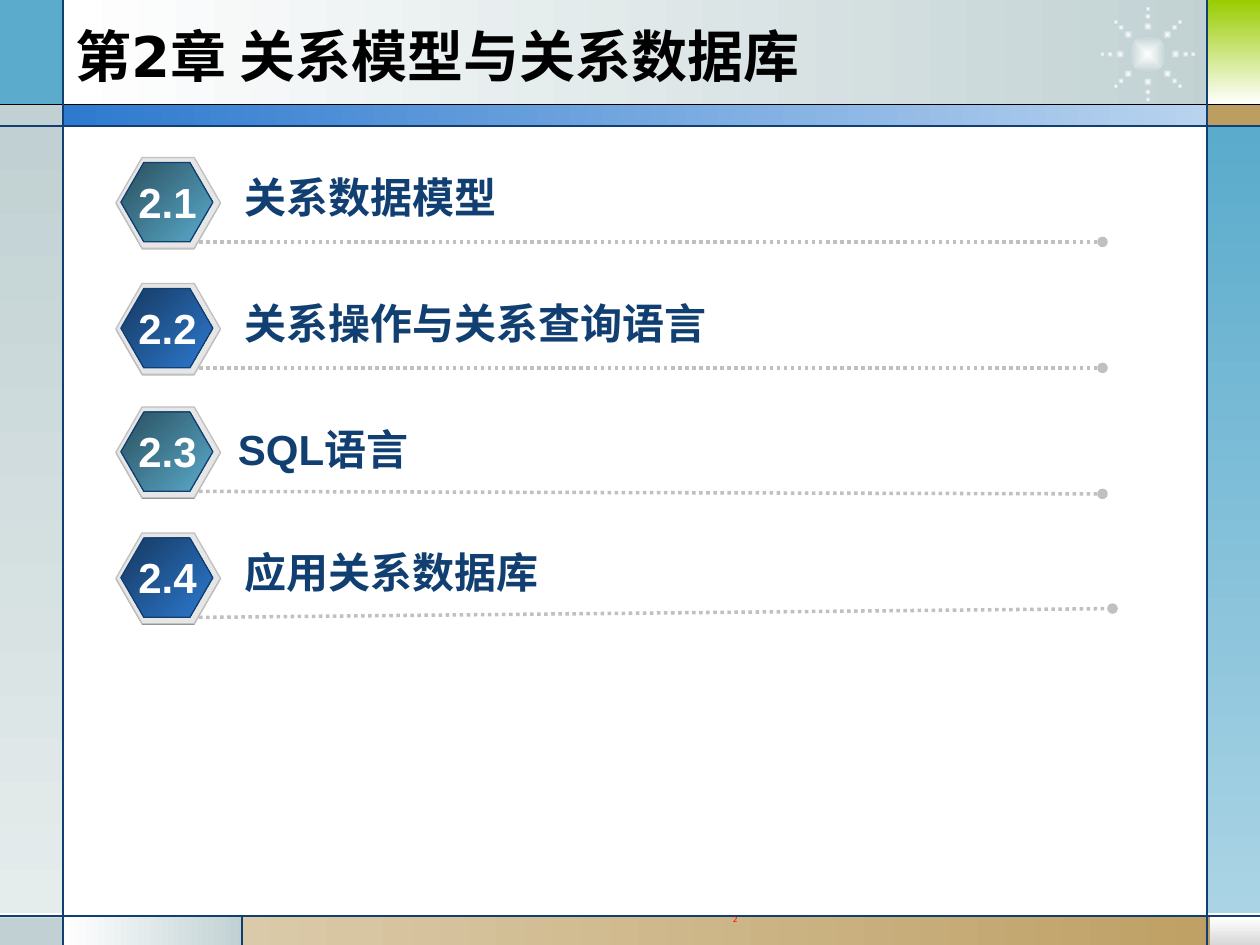
from math import cos, radians, sin

from lxml import etree
from pptx import Presentation
from pptx.dml.color import RGBColor
from pptx.enum.dml import MSO_LINE
from pptx.enum.shapes import MSO_CONNECTOR, MSO_SHAPE
from pptx.enum.text import MSO_ANCHOR, MSO_AUTO_SIZE, PP_ALIGN
from pptx.oxml.ns import qn
from pptx.util import Inches, Pt

RECTANGLE, OVAL, HEXAGON = MSO_SHAPE.RECTANGLE, MSO_SHAPE.OVAL, MSO_SHAPE.HEXAGON
STRAIGHT, DOTTED = MSO_CONNECTOR.STRAIGHT, MSO_LINE.ROUND_DOT
LEFT, CENTER = PP_ALIGN.LEFT, PP_ALIGN.CENTER
TOP, MIDDLE = MSO_ANCHOR.TOP, MSO_ANCHOR.MIDDLE
FIXED, GROW = MSO_AUTO_SIZE.NONE, MSO_AUTO_SIZE.SHAPE_TO_FIT_TEXT

WHITE = RGBColor(0xFF, 0xFF, 0xFF)
BLACK = RGBColor(0x00, 0x00, 0x00)
RED = RGBColor(0xFF, 0x00, 0x00)
NAVY = RGBColor(0x11, 0x3F, 0x71)
DEEP_BLUE = RGBColor(0x15, 0x38, 0x60)
BLUE = RGBColor(0x2D, 0x7A, 0xCF)
PALE_BLUE = RGBColor(0xB9, 0xD3, 0xEF)
DEEP_TEAL = RGBColor(0x2A, 0x4F, 0x5E)
TEAL = RGBColor(0x5A, 0xAB, 0xCC)
PALE_TEAL = RGBColor(0xAA, 0xD4, 0xE5)
MIST = RGBColor(0xC1, 0xD1, 0xD3)
PALE_MIST = RGBColor(0xE5, 0xEC, 0xEC)
SAND = RGBColor(0xBD, 0x9E, 0x61)
PALE_SAND = RGBColor(0xDB, 0xCA, 0xA9)
LIME = RGBColor(0x99, 0xCC, 0x00)
SHADE = RGBColor(0x80, 0x80, 0x80)
SILVER = RGBColor(0xC0, 0xC0, 0xC0)
LIGHT_GRAY = RGBColor(0xD8, 0xD8, 0xD8)
RIM = RGBColor(0xE6, 0xE6, 0xE6)

COLUMNS, ROWS = 10, 7.5
ACROSS, DIAGONAL, DOWN = 0, 45, 90

PANELS = [
    (0.5, 0, 9.27, 0.84, (WHITE, MIST), ACROSS),
    (0, 0, 0.5, 0.84, (TEAL,), ACROSS),
    (0, 0.83, 0.5, 0.17, (MIST,), ACROSS),
    (0, 1, 0.5, 6.25, (MIST, PALE_MIST), DOWN),
    (0, 7.28, 0.5, 0.22, (MIST,), ACROSS),
    (0.5, 7.27, 1.43, 0.23, (WHITE, MIST), ACROSS),
    (1.92, 7.27, 8.08, 0.23, (PALE_SAND, SAND), ACROSS),
    (9.6, 7.28, 0.4, 0.22, (WHITE, LIGHT_GRAY), DOWN),
    (9.58, 1, 0.42, 6.25, (TEAL, PALE_TEAL), DOWN),
    (9.58, 0.83, 0.42, 0.17, (SAND,), ACROSS),
    (9.59, 0, 0.41, 0.83, (LIME, WHITE), DOWN),
    (0.5, 0.83, 9.09, 0.17, (BLUE, PALE_BLUE), ACROSS),
]
RULES = [
    (0, 0.83, COLUMNS, 0.83, BLACK),
    (0, 1, COLUMNS, 1, NAVY),
    (0, 7.27, COLUMNS, 7.27, NAVY),
    (0.5, 0, 0.5, ROWS, NAVY),
    (9.58, 0, 9.58, ROWS, NAVY),
    (1.92, 7.27, 1.92, ROWS, NAVY),
]
TEAL_BADGE, BLUE_BADGE = (DEEP_TEAL, TEAL), (DEEP_BLUE, BLUE)
SECTIONS = [
    ("2.1", "关系数据模型", 1.25, TEAL_BADGE, (1.84, 1.31, 2.2), (8.75, 1.92)),
    ("2.2", "关系操作与关系查询语言", 2.25, BLUE_BADGE, (1.84, 2.31, 3.9), (8.75, 2.92)),
    ("2.3", "SQL语言", 3.23, TEAL_BADGE, (1.79, 3.31, 1.63), (8.75, 3.92)),
    ("2.4", "应用关系数据库", 4.23, BLUE_BADGE, (1.84, 4.29, 2.53), (8.83, 4.83)),
]


class SlidePainter:
    """Draws styled elements on one slide, placed by grid columns and rows."""

    def __init__(self, deck):
        self.column = deck.slide_width / COLUMNS
        self.row = deck.slide_height / ROWS
        self.slide = deck.slides.add_slide(deck.slide_layouts[6])

    def place(self, *lengths):
        units = (self.column, self.row) * 2
        return [round(length * unit) for length, unit in zip(lengths, units)]

    def shape(self, kind, left, top, width, height, colors, angle=ACROSS, outline=None):
        shape = self.slide.shapes.add_shape(kind, *self.place(left, top, width, height))
        shape.shadow.inherit = False
        if len(colors) == 1:
            shape.fill.solid()
            shape.fill.fore_color.rgb = colors[0]
        else:
            shape.fill.gradient()
            shape.fill.gradient_angle = -angle % 360
            for stop, color in zip(shape.fill.gradient_stops, colors):
                stop.color.rgb = color
        if outline is None:
            shape.line.fill.background()
        else:
            shape.line.color.rgb = outline
            shape.line.width = Pt(0.75)
        return shape

    def glow(self, center_x, center_y, size):
        dot = self.shape(OVAL, center_x - size / 2, center_y - size / 2, size, size, (WHITE, MIST))
        gradient = dot.element.spPr.find(qn("a:gradFill"))
        gradient.remove(gradient.find(qn("a:lin")))
        radial = etree.SubElement(gradient, qn("a:path"), {"path": "rect"})
        sides = dict.fromkeys("ltrb", "50000")
        etree.SubElement(radial, qn("a:fillToRect"), sides)

    def starburst(self, center_x, center_y):
        self.glow(center_x, center_y, 0.3)
        for angle in range(0, 360, 45):
            for radius, size in ((0.22, 0.07), (0.3, 0.05), (0.36, 0.04)):
                self.glow(center_x + radius * cos(radians(angle)),
                          center_y + radius * sin(radians(angle)), size)

    def line(self, start_x, start_y, end_x, end_y, color, width=0.75):
        line = self.slide.shapes.add_connector(
            STRAIGHT, *self.place(start_x, start_y, end_x, end_y))
        line.line.color.rgb = color
        line.line.width = Pt(width)
        etree.SubElement(line.element.spPr, qn("a:effectLst"))
        return line

    def leader(self, start_x, start_y, end_x, end_y):
        line = self.line(start_x, start_y, end_x, end_y, SILVER, 2)
        line.line.dash_style = DOTTED
        etree.SubElement(line.get_or_add_ln(), qn("a:tailEnd"), {"type": "oval"})

    def badge(self, top, colors):
        rim = (0.92, top, 0.83, 0.72)
        face = (0.96, top + 0.04, 0.73, 0.63)
        shade = (0.92, top + 0.01, 0.83, 0.72)
        for place, fill, outline in ((shade, (SHADE,), None), (rim, (RIM,), SILVER),
                                     (face, colors, NAVY)):
            hexagon = self.shape(HEXAGON, *place, fill, DIAGONAL, outline)
            hexagon.adjustments[0] = 0.289

    def text(self, words, left, top, width, height, size, color, font="Arial",
             bold=True, align=LEFT, anchor=TOP, wrap=False, spacing=None):
        box = self.slide.shapes.add_textbox(*self.place(left, top, width, height))
        frame = box.text_frame
        frame.text = words
        frame.word_wrap = wrap
        frame.auto_size = FIXED if wrap else GROW
        frame.vertical_anchor = anchor
        para = frame.paragraphs[0]
        para.alignment = align
        para.line_spacing = spacing
        span = para.runs[0]
        span.font.name = font
        span.font.size = Pt(size)
        span.font.bold = bold
        span.font.color.rgb = color


def main():
    deck = Presentation()
    deck.slide_width, deck.slide_height = Inches(10), Inches(7.5)
    page = SlidePainter(deck)
    for panel in PANELS:
        page.shape(RECTANGLE, *panel)
    page.starburst(9.11, 0.43)
    for rule in RULES:
        page.line(*rule)
    page.text("2", 4.67, 7.23, 2.33, 0.19, 4.3, RED, "DejaVu Sans",
              bold=False, align=CENTER, wrap=True, spacing=0.8)
    page.text("第2章 关系模型与关系数据库", 0.5, 0.13, 8.92, 0.62, 32, BLACK,
              "DejaVu Sans", anchor=MIDDLE, wrap=True)
    for number, name, top, colors, label, leader_end in SECTIONS:
        page.badge(top, colors)
        page.leader(1.58, top + 0.67, *leader_end)
        page.text(name, *label, 0.5, 24, NAVY)
        page.text(number, 1, top + 0.1, 0.66, 0.5, 24, WHITE, align=CENTER)
    deck.save("out.pptx")


if __name__ == "__main__":
    main()
